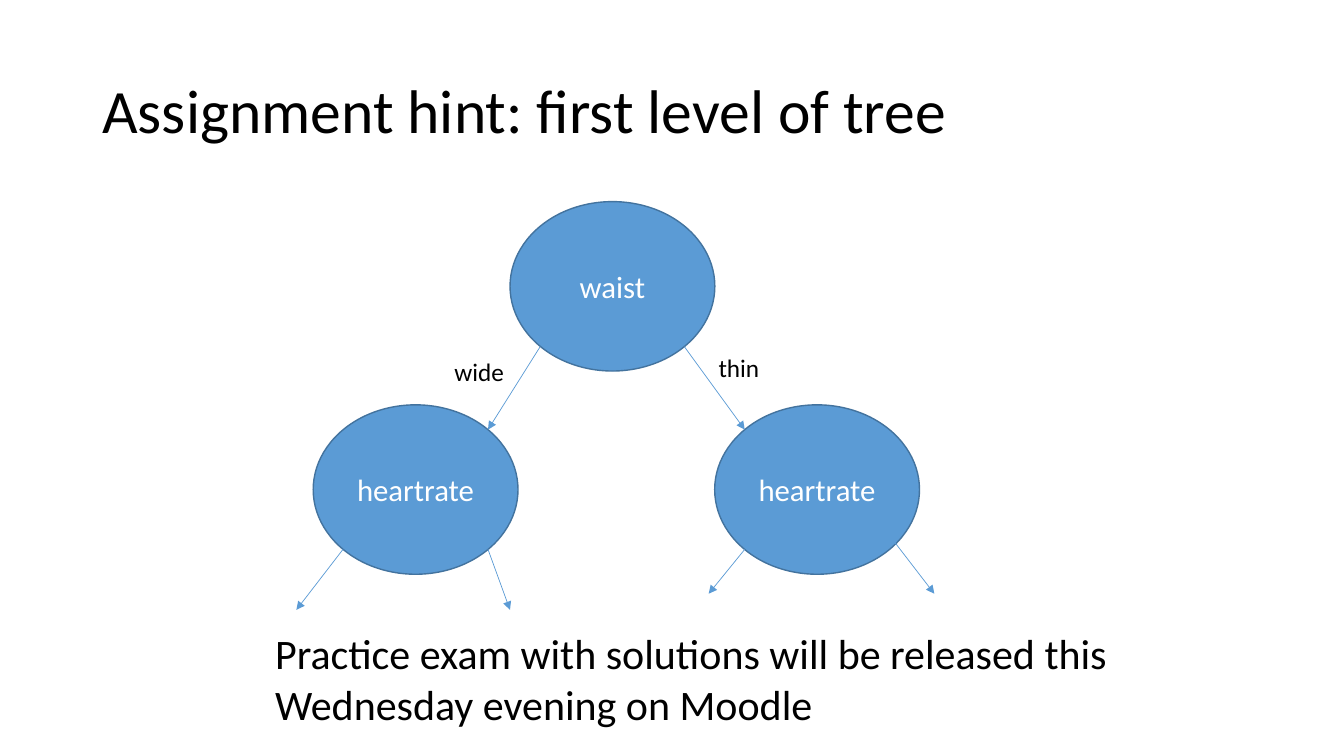
from lxml import etree
from pptx import Presentation
from pptx import util as u
from pptx.dml import color
from pptx.enum import shapes, text
from pptx.oxml import ns


def rgb(value):
    return color.RGBColor.from_string(value)


class Deck:
    """Draws decision tree elements on the current slide in one style."""

    font, ink, light, blue, edge = "Calibri", "000000", "FFFFFF", "5B9BD5", "43739E"

    def __init__(self, width, height):
        self.prs = Presentation()
        self.prs.slide_width, self.prs.slide_height = u.Pt(width), u.Pt(height)
        self.s = self.prs.slides.add_slide(self.prs.slide_layouts[6])

    def set_words(self, sp, words, size, ink, frame=None, para=None):
        tf = sp.text_frame
        tf.word_wrap = True
        p = tf.paragraphs[0]
        r = p.add_run()
        r.text = words
        formats = (
            (tf, frame or {}),
            (p, para or {}),
            (r.font, {"name": self.font, "size": u.Pt(size)}),
        )
        for target, values in formats:
            for name, value in values.items():
                setattr(target, name, value)
        r.font.color.rgb = rgb(ink)

    def label(self, words, box, size, frame=None, para=None):
        sp = self.s.shapes.add_textbox(*map(u.Pt, box))
        self.set_words(sp, words, size, self.ink, frame, para)

    def node(self, words, x, y):
        sp = self.s.shapes.add_shape(
            shapes.MSO_SHAPE.OVAL, *map(u.Pt, (x, y, 146.3, 121))
        )
        sp.shadow.inherit = False
        sp.fill.solid()
        sp.fill.fore_color.rgb = rgb(self.blue)
        sp.line.color.rgb = rgb(self.edge)
        sp.line.width = u.Pt(1)
        self.set_words(
            sp, words, 22, self.light,
            {"vertical_anchor": text.MSO_ANCHOR.MIDDLE},
            {"alignment": text.PP_ALIGN.CENTER},
        )

    def arrow(self, *ends):
        sp = self.s.shapes.add_connector(
            shapes.MSO_CONNECTOR.STRAIGHT, *map(u.Pt, ends)
        )
        sp.line.color.rgb = rgb(self.blue)
        sp.line.width = u.Pt(0.5)
        props = sp.element.spPr
        etree.SubElement(props.find(ns.qn("a:ln")), ns.qn("a:tailEnd"), type="triangle")
        etree.SubElement(props, ns.qn("a:effectLst"))


def main():
    deck = Deck(960, 540)
    deck.label(
        "Assignment hint: first level of tree", (66, 28.8, 828, 104.4), 44,
        {"vertical_anchor": text.MSO_ANCHOR.MIDDLE}, {"line_spacing": 0.9},
    )
    deck.node("waist", 364.3, 144)
    for x in (223.7, 510.5):
        deck.node("heartrate", x, 289.2)
    for ends in (
        (385.8, 247.7, 348.6, 306.9),
        (488.9, 247.7, 532, 306.9),
        (245, 392.4, 211.7, 435.6),
        (348.6, 392.4, 364.3, 435.6),
        (532, 392.4, 506.2, 424.1),
        (633.6, 380.2, 667.4, 424.1),
    ):
        deck.arrow(*ends)
    grow = {"auto_size": text.MSO_AUTO_SIZE.SHAPE_TO_FIT_TEXT}
    for words, box, size in (
        ("thin", (506.2, 248.4, 108, 29), 18),
        ("wide", (317.5, 250.6, 62, 29), 18),
        (
            "Practice exam with solutions will be released this "
            "Wednesday evening on Moodle",
            (189.4, 445, 685.4, 80), 30,
        ),
    ):
        deck.label(words, box, size, grow)
    deck.prs.save("out.pptx")


if __name__ == "__main__":
    main()
